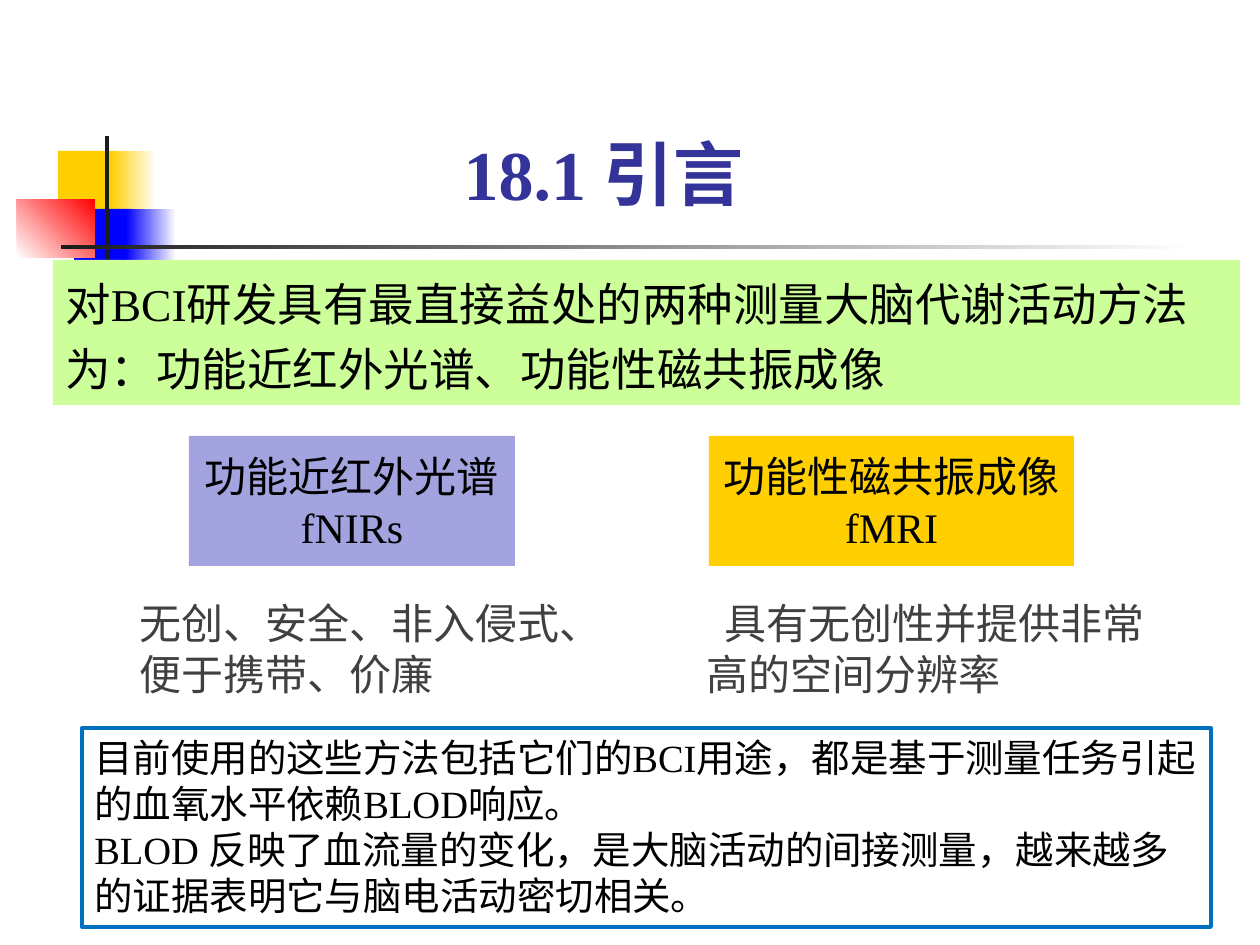
import pptx
import pptx.util
import pptx.dml.color
import pptx.enum.shapes
import pptx.enum.text
import pptx.oxml.ns
import lxml.etree

RGBColor = pptx.dml.color.RGBColor
ALIGN = pptx.enum.text.PP_ALIGN
ANCHOR = pptx.enum.text.MSO_ANCHOR
BLACK = RGBColor(0, 0, 0)
WHITE = RGBColor(255, 255, 255)
GOLD = RGBColor(0xFF, 0xCF, 0x01)
BLUE = RGBColor(0, 0, 255)
RED = RGBColor(255, 0, 0)
CHARCOAL = RGBColor(0x1C, 0x1C, 0x1C)
GRAY = RGBColor(0x40, 0x40, 0x40)
INDIGO = RGBColor(0x33, 0x33, 0x99)
LIME = RGBColor(0xCC, 0xFF, 0x99)
LILAC = RGBColor(0xA3, 0xA3, 0xE0)
BORDER = RGBColor(0, 0x70, 0xC0)
SERIF = "Times New Roman"
SANS = "Noto Sans CJK SC"
PX = 914400 / 126

DECORATION = [
    ((58, 151, 60, 66), (GOLD,), 0),
    ((111, 151, 45, 66), (GOLD, WHITE), 0),
    ((74, 209, 58, 66), (BLUE,), 0),
    ((126, 209, 50, 66), (BLUE, WHITE), 0),
    ((17, 199, 78, 59), (WHITE, RED), 45),
    ((105, 136, 4, 145), (CHARCOAL,), 0),
    ((61, 245, 1134, 4), (CHARCOAL, WHITE), 0),
]
TITLE = "18.1 引言"
SUMMARY = "对BCI研发具有最直接益处的两种测量大脑代谢活动方法为：功能近红外光谱、功能性磁共振成像"
METHODS = [
    {"name": ["功能近红外光谱", "fNIRs"], "card": (189, 326), "fill": LILAC,
     "detail": "无创、安全、非入侵式、便于携带、价廉", "note": (127, 450), "indent": 0},
    {"name": ["功能性磁共振成像", "fMRI"], "card": (709, 365), "fill": GOLD,
     "detail": "具有无创性并提供非常高的空间分辨率", "note": (694, 470), "indent": 18},
]
CONCLUSION = [
    "目前使用的这些方法包括它们的BCI用途，都是基于测量任务引起的血氧水平依赖BLOD响应。",
    "BLOD 反映了血流量的变化，是大脑活动的间接测量，越来越多的证据表明它与脑电活动密切相关。",
]


def px(value):
    return pptx.util.Emu(round(value * PX))


def add_rect(page, place, colors=(), angle=0, line=None):
    shape = page.shapes.add_shape(
        pptx.enum.shapes.MSO_SHAPE.RECTANGLE, *map(px, place))
    shape.shadow.inherit = False
    if len(colors) == 2:
        shape.fill.gradient()
        shape.fill.gradient_angle = angle
        for stop, color, position in zip(shape.fill.gradient_stops, colors, (0, 1)):
            stop.color.rgb = color
            stop.position = position
    elif colors:
        shape.fill.solid()
        shape.fill.fore_color.rgb = colors[0]
    else:
        shape.fill.background()
    if line:
        shape.line.color.rgb = line
        shape.line.width = pptx.util.Pt(2.25)
    else:
        shape.line.fill.background()
    return shape


def write(box, texts, size, font=SERIF, color=BLACK, bold=False,
          align=ALIGN.LEFT, anchor=ANCHOR.TOP, spacing=None, indent=0):
    frame = box.text_frame
    frame.word_wrap = True
    frame.vertical_anchor = anchor
    for index, text in enumerate(texts):
        para = frame.add_paragraph() if index else frame.paragraphs[0]
        para.alignment = align
        if spacing:
            para.line_spacing = pptx.util.Pt(spacing)
        if indent:
            para._p.get_or_add_pPr().set("indent", str(px(indent)))
        span = para.add_run()
        span.text = text
        span.font.name = font
        span.font.size = pptx.util.Pt(size)
        span.font.bold = bold
        span.font.color.rgb = color
        lxml.etree.SubElement(
            span.font._element, pptx.oxml.ns.qn("a:ea"), typeface=SANS)


def add_text(page, place, texts, size, **style):
    box = page.shapes.add_textbox(*map(px, place))
    write(box, texts, size, **style)


def main():
    deck = pptx.Presentation()
    deck.slide_width, deck.slide_height = px(1260), px(945)
    page = deck.slides.add_slide(deck.slide_layouts[6])
    for place, colors, angle in DECORATION:
        add_rect(page, place, colors, angle)
    add_text(page, (189, 105, 829, 116), [TITLE], 40, color=INDIGO, bold=True,
             align=ALIGN.CENTER, anchor=ANCHOR.BOTTOM)
    write(add_rect(page, (53, 260, 1187, 145), (LIME,)), [SUMMARY], 26, spacing=37)
    for method in METHODS:
        left, width = method["card"]
        card = add_rect(page, (left, 436, width, 130), (method["fill"],))
        write(card, method["name"], 24, align=ALIGN.CENTER,
              anchor=ANCHOR.MIDDLE, spacing=29)
        left, width = method["note"]
        add_text(page, (left, 591, width, 115), [method["detail"]], 24, font=SANS,
                 color=GRAY, spacing=29, indent=method["indent"])
    write(add_rect(page, (82, 728, 1129, 199), line=BORDER), CONCLUSION, 22,
          spacing=26.3)
    deck.save("out.pptx")


if __name__ == "__main__":
    main()
